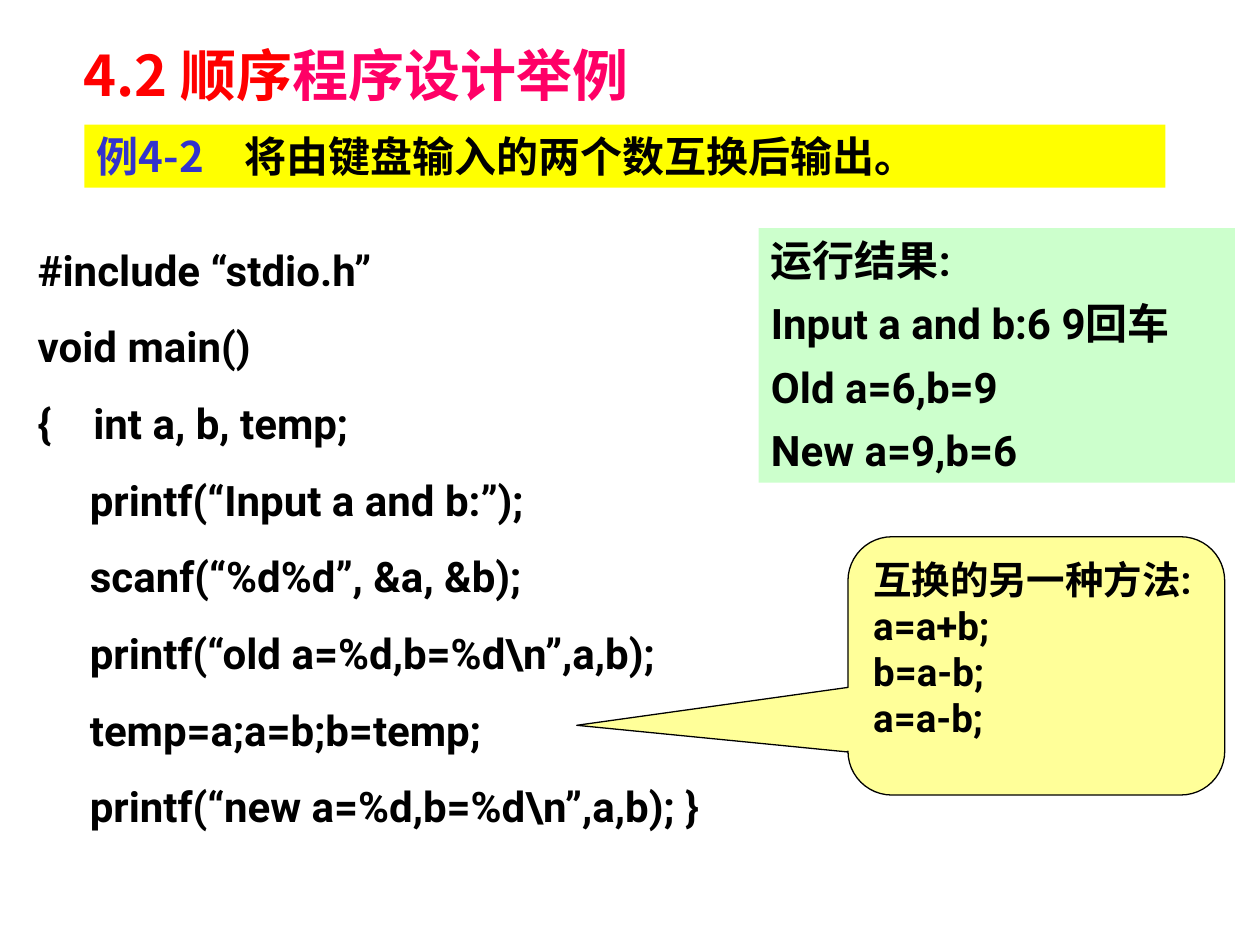
"""Build a slide on sequential programming: swapping two numbers in C."""
from pptx import Presentation
from pptx.dml.color import RGBColor
from pptx.enum.shapes import MSO_SHAPE
from pptx.enum.text import MSO_ANCHOR, MSO_AUTO_SIZE, PP_ALIGN
from pptx.oxml.ns import qn
from pptx.util import Inches, Pt
from lxml import etree

RECT, CALLOUT = MSO_SHAPE.RECTANGLE, MSO_SHAPE.ROUNDED_RECTANGULAR_CALLOUT
TOP, LEFT, NO_FIT = MSO_ANCHOR.TOP, PP_ALIGN.LEFT, MSO_AUTO_SIZE.NONE
LATIN, CJK = "Roboto", "Noto Sans CJK SC"
COLORS = {
    "black": "000000", "red": "FF0000", "pink": "FF0066", "blue": "3333CC",
    "yellow": "FFFF00", "green": "CCFFCC", "cream": "FFFF99",
}

TITLE = [[("4.2 顺序", "red"), ("程序设计举例", "pink")]]
EXAMPLE = [[("例4-2\t", "blue"), ("将由键盘输入的两个数互换后输出。", "black")]]
CODE = [
    "#include “stdio.h”",
    "void main()",
    "{    int a, b, temp;",
    "     printf(“Input a and b:”);",
    "     scanf(“%d%d”, &a, &b);",
    "     printf(“old a=%d,b=%d\\n”,a,b);",
    "     temp=a;a=b;b=temp;",
    "     printf(“new a=%d,b=%d\\n”,a,b); }",
]
RESULT = ["运行结果:", "Input a and b:6 9回车", "Old a=6,b=9", "New a=9,b=6"]
SWAP = ["互换的另一种方法:", "a=a+b;", "b=a-b;", "a=a-b;"]


def rgb(name):
    return RGBColor.from_string(COLORS[name])


def write(sp, lines, size=24, font=LATIN, before=0, tab=None):
    tf = sp.text_frame
    tf.word_wrap, tf.auto_size, tf.vertical_anchor = True, NO_FIT, TOP
    tf.margin_left = tf.margin_right = Inches(0.1)
    tf.margin_top = tf.margin_bottom = Inches(0.05)
    for i, line in enumerate(lines):
        p = tf.add_paragraph() if i else tf.paragraphs[0]
        p.alignment = LEFT
        p.space_before = Pt(before if i else 0)
        if tab:
            tabs = etree.SubElement(p._p.get_or_add_pPr(), qn("a:tabLst"))
            etree.SubElement(tabs, qn("a:tab"), pos=str(Inches(tab)), algn="l")
        for text, color in [(line, "black")] if isinstance(line, str) else line:
            r = p.add_run()
            r.text = text
            r.font.size, r.font.bold, r.font.name = Pt(size), True, font
            r.font.color.rgb = rgb(color)
            etree.SubElement(r._r.get_or_add_rPr(), qn("a:ea"), typeface=CJK)


def add_panel(s, kind, box, fill):
    sp = s.shapes.add_shape(kind, *map(Inches, box))
    sp.shadow.inherit = False
    sp.fill.solid()
    sp.fill.fore_color.rgb = rgb(fill)
    sp.line.fill.background()
    return sp


def main():
    prs = Presentation()
    prs.slide_width, prs.slide_height = Inches(10), Inches(7.5)
    s = prs.slides.add_slide(prs.slide_layouts[5])

    title = s.shapes.title
    title.left, title.top, title.width, title.height = map(Inches, (0.56, 0.27, 8.5, 0.71))
    write(title, TITLE, size=32, font=CJK)

    code = s.shapes.add_textbox(*map(Inches, (0.2, 1.89, 6.69, 4.76)))
    write(code, CODE, before=15)

    result = add_panel(s, RECT, (6.02, 1.81, 3.78, 2.02), "green")
    write(result, RESULT, before=7.5)

    swap = add_panel(s, CALLOUT, (6.73, 4.26, 2.99, 2.05), "cream")
    swap.line.color.rgb = rgb("black")
    swap.line.width = Pt(0.75)
    for i, value in enumerate((-1.22, 0.23, 0.17)):
        swap.adjustments[i] = value
    write(swap, SWAP, size=22)

    example = add_panel(s, RECT, (0.67, 0.99, 8.58, 0.5), "yellow")
    write(example, EXAMPLE, font=CJK, tab=1.17)

    prs.save("out.pptx")


if __name__ == "__main__":
    main()
